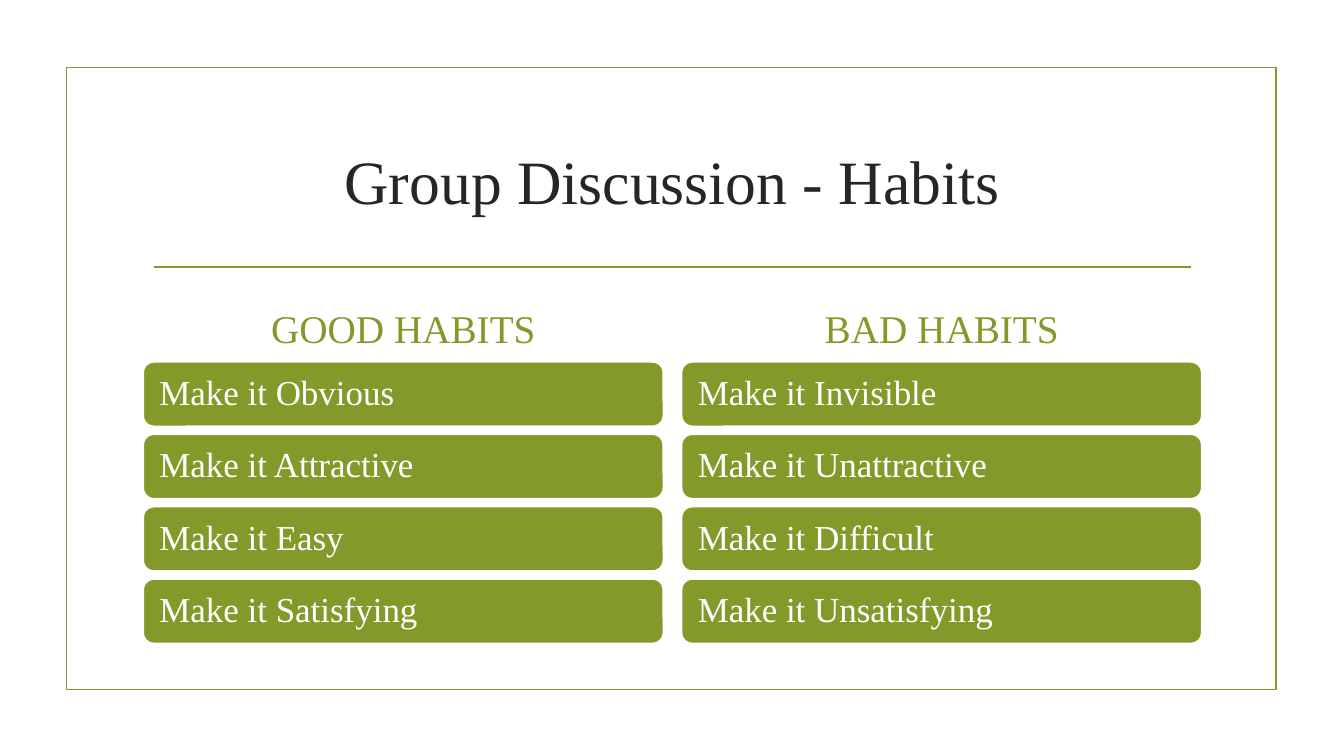
import dataclasses

import lxml.etree
import pptx
import pptx.dml.color
import pptx.enum.shapes
import pptx.enum.text
import pptx.oxml.ns
import pptx.util

Inches = pptx.util.Inches
Points = pptx.util.Pt
Align = pptx.enum.text.PP_ALIGN
Anchor = pptx.enum.text.MSO_ANCHOR
Preset = pptx.enum.shapes.MSO_SHAPE

COLOURS = {"olive": "83992A", "ink": "262626", "white": "FFFFFF"}
FONT = "Times New Roman"
LINE_WIDTH = 1.25
SLIDE_WIDTH, SLIDE_HEIGHT = 13.33, 7.5
GRID_LEFT, COLUMN_PITCH, COLUMN_WIDTH = 1.42, 5.34, 5.16
HEADING_TOP, HEADING_HEIGHT = 2.91, 0.63
GRID_TOP, ROW_PITCH, BAR_HEIGHT = 3.59, 0.718, 0.64
BAR_SIDE_INSET = 0.13


@dataclasses.dataclass(frozen=True)
class Box:
    left: float
    top: float
    width: float
    height: float

    def emu(self) -> list[int]:
        return [Inches(value) for value in dataclasses.astuple(self)]


@dataclasses.dataclass(frozen=True)
class TextStyle:
    size: float
    colour: str
    align: Align
    anchor: Anchor
    line_spacing: float = 1.0


@dataclasses.dataclass(frozen=True)
class HabitColumn:
    heading: str
    rules: tuple[str, ...]


TITLE_STYLE = TextStyle(44, "ink", Align.CENTER, Anchor.MIDDLE)
HEADING_STYLE = TextStyle(28, "olive", Align.CENTER, Anchor.BOTTOM)
BAR_STYLE = TextStyle(25, "white", Align.LEFT, Anchor.MIDDLE, 0.9)

HABIT_COLUMNS = (
    HabitColumn("GOOD HABITS", ("Make it Obvious", "Make it Attractive",
                                "Make it Easy", "Make it Satisfying")),
    HabitColumn("BAD HABITS", ("Make it Invisible", "Make it Unattractive",
                               "Make it Difficult", "Make it Unsatisfying")),
)


def colour(name: str) -> pptx.dml.color.RGBColor:
    return pptx.dml.color.RGBColor.from_string(COLOURS[name])


def write_text(shape, text: str, style: TextStyle) -> None:
    frame = shape.text_frame
    frame.word_wrap = True
    frame.vertical_anchor = style.anchor
    paragraph = frame.paragraphs[0]
    paragraph.text = text
    paragraph.alignment = style.align
    paragraph.line_spacing = style.line_spacing
    paragraph.font.name = FONT
    paragraph.font.size = Points(style.size)
    paragraph.font.color.rgb = colour(style.colour)


def set_line(line, name: str) -> None:
    line.color.rgb = colour(name)
    line.width = Points(LINE_WIDTH)


def add_text(slide, box: Box, text: str, style: TextStyle) -> None:
    write_text(slide.shapes.add_textbox(*box.emu()), text, style)


def add_frame(slide, box: Box) -> None:
    shape = slide.shapes.add_shape(Preset.RECTANGLE, *box.emu())
    shape.shadow.inherit = False
    shape.fill.background()
    set_line(shape.line, "olive")


def add_rule(slide, left: float, right: float, top: float) -> None:
    connector = slide.shapes.add_connector(
        pptx.enum.shapes.MSO_CONNECTOR.STRAIGHT,
        Inches(left), Inches(top), Inches(right), Inches(top))
    set_line(connector.line, "olive")
    properties = connector.element.find(pptx.oxml.ns.qn("p:spPr"))
    lxml.etree.SubElement(properties, pptx.oxml.ns.qn("a:effectLst"))


def add_bar(slide, box: Box, text: str) -> None:
    shape = slide.shapes.add_shape(Preset.ROUNDED_RECTANGLE, *box.emu())
    shape.shadow.inherit = False
    shape.fill.solid()
    shape.fill.fore_color.rgb = colour("olive")
    set_line(shape.line, "white")
    write_text(shape, text, BAR_STYLE)
    shape.text_frame.margin_left = Inches(BAR_SIDE_INSET)
    shape.text_frame.margin_right = Inches(BAR_SIDE_INSET)


def add_habit_column(slide, index: int, column: HabitColumn) -> None:
    left = GRID_LEFT + index * COLUMN_PITCH
    heading_box = Box(left, HEADING_TOP, COLUMN_WIDTH, HEADING_HEIGHT)
    add_text(slide, heading_box, column.heading, HEADING_STYLE)
    for row, rule in enumerate(column.rules):
        top = GRID_TOP + row * ROW_PITCH
        add_bar(slide, Box(left, top, COLUMN_WIDTH, BAR_HEIGHT), rule)


def main() -> None:
    """Build the habits discussion slide and save it."""
    presentation = pptx.Presentation()
    presentation.slide_width = Inches(SLIDE_WIDTH)
    presentation.slide_height = Inches(SLIDE_HEIGHT)
    slide = presentation.slides.add_slide(presentation.slide_layouts[6])
    add_frame(slide, Box(0.66, 0.67, 12, 6.17))
    add_rule(slide, 1.53, 11.81, 2.65)
    title_width = COLUMN_PITCH + COLUMN_WIDTH
    add_text(slide, Box(GRID_LEFT, 1.07, title_width, 1.43),
             "Group Discussion - Habits", TITLE_STYLE)
    for index, column in enumerate(HABIT_COLUMNS):
        add_habit_column(slide, index, column)
    presentation.save("out.pptx")


if __name__ == "__main__":
    main()
